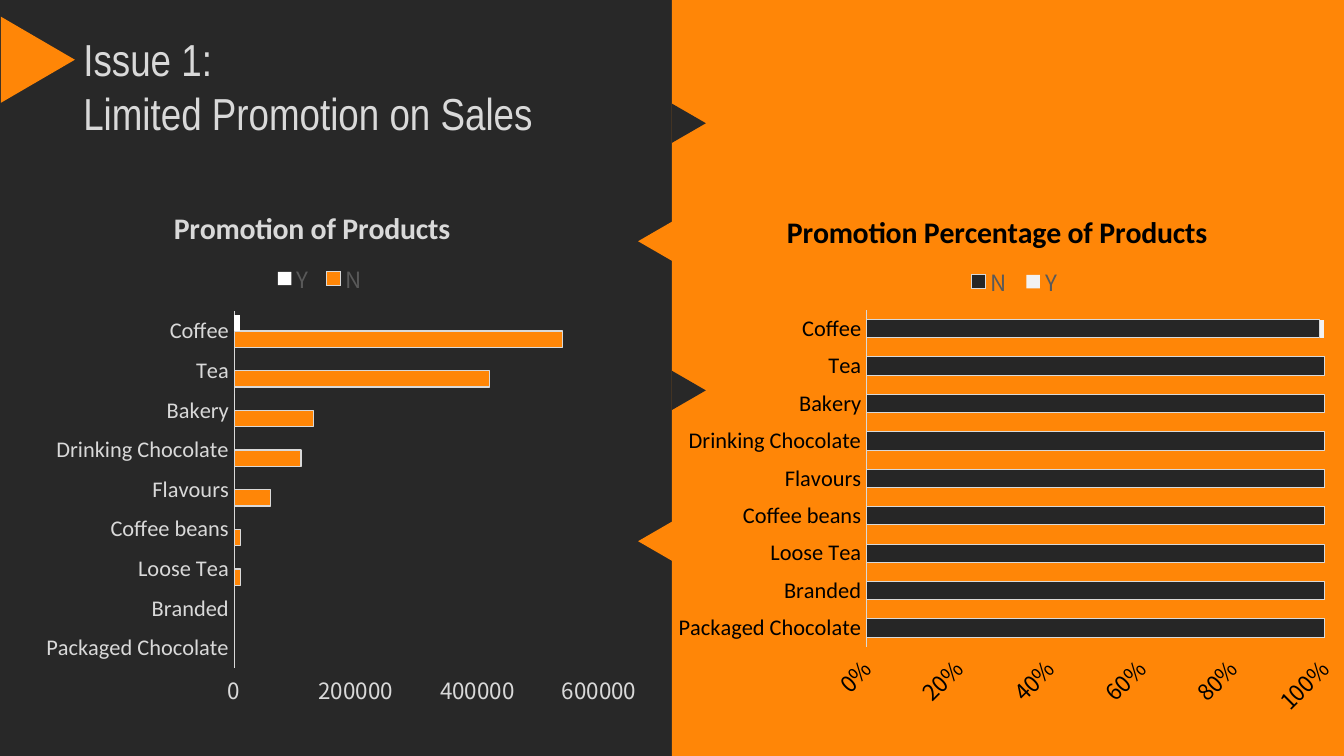
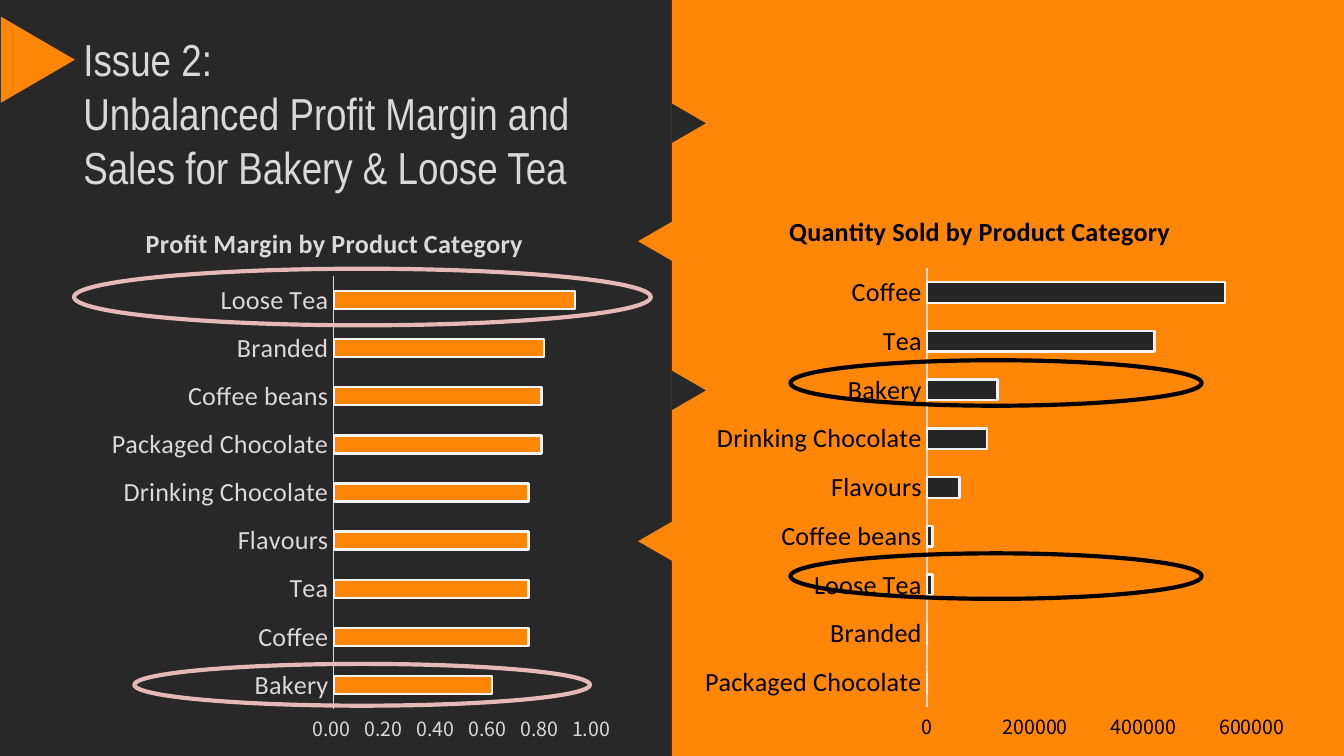
from dataclasses import dataclass

from lxml.etree import SubElement
from pptx import Presentation
from pptx.chart.data import CategoryChartData
from pptx.dml.color import RGBColor
from pptx.enum.chart import XL_CHART_TYPE, XL_LEGEND_POSITION, XL_TICK_MARK
from pptx.enum.shapes import MSO_SHAPE
from pptx.enum.text import MSO_ANCHOR, MSO_AUTO_SIZE, PP_ALIGN
from pptx.oxml.ns import qn
from pptx.util import Cm, Pt

DARK, ORANGE, BAR_DARK = "282828", "FF8607", "262626"
LIGHT, PALE, WHITE, BLACK = "D9D9D9", "F2F2F2", "FFFFFF", "000000"
LEGEND_GREY, PINK = "595959", "E6B9B8"
TITLE_FONT, LABEL_FONT, NUMBER_FONT = "Arial Narrow", "Calibri", "Noto Sans CJK SC"
SLIDE_W, SLIDE_H = 25.4, 14.29
HALF = SLIDE_W / 2

BY_QUANTITY = ["Packaged Chocolate", "Branded", "Loose Tea", "Coffee beans", "Flavours",
               "Drinking Chocolate", "Bakery", "Tea", "Coffee"]
BY_MARGIN = ["Bakery", "Coffee", "Tea", "Flavours", "Drinking Chocolate",
             "Packaged Chocolate", "Coffee beans", "Branded", "Loose Tea"]
NOT_PROMOTED = [0, 0, 10000, 10000, 60000, 110000, 130000, 420000, 540000]
QUANTITY_SOLD = NOT_PROMOTED[:-1] + [550000]
NO_PROMOTION = [None] * 6 + [0, None]


@dataclass
class Bars:
    name: str
    values: list
    fill: str
    outline: str = ""
    outline_pt: float = 0


@dataclass
class BarChart:
    """Placing fractions are relative to the chart's box."""
    title: str
    title_at: tuple
    plot_at: tuple
    categories: list
    series: list
    text: str
    gap: int
    step: float
    top: float
    title_pt: float = 16
    category_pt: float = 12
    value_pt: float = 12
    number_format: str = "General"
    legend_at: tuple = ()
    percent: bool = False


def color(hex_string):
    return RGBColor.from_string(hex_string)


def style_font(font, name, size, hex_string, bold=False):
    font.name, font.size, font.bold = name, Pt(size), bold
    font.color.rgb = color(hex_string)


def add_block(slide, kind, box, fill, rotation=0):
    block = slide.shapes.add_shape(kind, *map(Cm, box))
    block.shadow.inherit = False
    block.fill.solid()
    block.fill.fore_color.rgb = color(fill)
    block.line.fill.background()
    block.rotation = rotation
    return block


def add_highlight(slide, box, line):
    ring = slide.shapes.add_shape(MSO_SHAPE.OVAL, *map(Cm, box))
    ring.shadow.inherit = False
    ring.fill.background()
    ring.line.color.rgb = color(line)
    ring.line.width = Pt(2.25)


def add_title(slide, lines, height):
    title = slide.shapes.title
    title.left, title.top, title.width, title.height = map(Cm, (1.32, 0.48, 11.18, height))
    frame = title.text_frame
    frame.text = "\n".join(lines)
    frame.word_wrap = True
    frame.auto_size = MSO_AUTO_SIZE.NONE
    frame.vertical_anchor = MSO_ANCHOR.TOP
    for paragraph in frame.paragraphs:
        paragraph.alignment = PP_ALIGN.LEFT
        style_font(paragraph.font, TITLE_FONT, 24, LIGHT)
    return title


def add_split_slide(prs, lines, title_height):
    """Two-tone slide with a title on the dark half and notches along the seam."""
    slide = prs.slides.add_slide(prs.slide_layouts[5])
    title = add_title(slide, lines, title_height)
    dark_half = add_block(slide, MSO_SHAPE.RECTANGLE, (0, 0, HALF, SLIDE_H), DARK)
    title.element.addprevious(dark_half.element)
    triangle = MSO_SHAPE.ISOSCELES_TRIANGLE
    add_block(slide, triangle, (-0.1, 0.43, 1.63, 1.4), ORANGE, 90)
    add_block(slide, MSO_SHAPE.RECTANGLE, (HALF, 0, HALF, SLIDE_H), ORANGE)
    for left, fill, rotation, tops in ((HALF - 0.05, DARK, 90, (2.01, 7.06)),
                                       (HALF - 0.69, ORANGE, 270, (4.24, 9.91))):
        for top in tops:
            add_block(slide, triangle, (left, top, 0.74, 0.64), fill, rotation)
    return slide


def set_layout(part, fractions, after=None, inner=False):
    """Fix a chart part at x, y and, where given, width and height."""
    for old in part.findall(qn("c:layout")):
        part.remove(old)
    layout = SubElement(part, qn("c:layout"))
    if after:
        part.find(qn(after)).addnext(layout)
    else:
        part.insert(0, layout)
    manual = SubElement(layout, qn("c:manualLayout"))
    settings = [("layoutTarget", "inner")] if inner else []
    settings += [("xMode", "edge"), ("yMode", "edge")]
    settings += zip("xywh", map(str, fractions))
    for tag, value in settings:
        SubElement(manual, qn(f"c:{tag}")).set("val", value)


def style_axes(chart, design):
    categories, values = chart.category_axis, chart.value_axis
    for axis in (categories, values):
        axis.has_major_gridlines = False
        axis.major_tick_mark = axis.minor_tick_mark = XL_TICK_MARK.NONE
    categories.format.line.color.rgb = color(LIGHT)
    categories.format.line.width = Pt(0.75)
    style_font(categories.tick_labels.font, LABEL_FONT, design.category_pt, design.text)
    values.format.line.fill.background()
    values.minimum_scale, values.maximum_scale = 0, design.top
    values.major_unit = design.step
    labels = values.tick_labels
    style_font(labels.font, NUMBER_FONT, design.value_pt, design.text)
    labels.number_format = design.number_format
    labels.number_format_is_linked = False
    if design.percent:
        chart.element.xpath(".//c:valAx/c:txPr/a:bodyPr")[0].set("rot", "-2700000")


def add_bar_chart(slide, box, design):
    data = CategoryChartData()
    data.categories = design.categories
    for bars in design.series:
        data.add_series(bars.name, bars.values)
    kind = XL_CHART_TYPE.BAR_STACKED_100 if design.percent else XL_CHART_TYPE.BAR_CLUSTERED
    chart = slide.shapes.add_chart(kind, *map(Cm, box), data).chart
    style_font(chart.font, NUMBER_FONT, 10, BLACK)

    chart.has_title = True
    heading = chart.chart_title.text_frame
    heading.text = design.title
    style_font(heading.paragraphs[0].font, LABEL_FONT, design.title_pt, design.text, True)
    set_layout(chart.element.xpath("c:chart/c:title")[0], design.title_at, "c:tx")
    set_layout(chart.element.xpath("c:chart/c:plotArea")[0], design.plot_at, inner=True)

    chart.has_legend = bool(design.legend_at)
    if design.legend_at:
        legend = chart.legend
        legend.position = XL_LEGEND_POSITION.TOP
        legend.include_in_layout = False
        style_font(legend.font, NUMBER_FONT, 12, LEGEND_GREY)
        set_layout(chart.element.xpath("c:chart/c:legend")[0], design.legend_at,
                   "c:legendPos")

    plot = chart.plots[0]
    plot.gap_width = design.gap
    plot.vary_by_categories = False
    for series, bars in zip(plot.series, design.series):
        series.format.fill.solid()
        series.format.fill.fore_color.rgb = color(bars.fill)
        if bars.outline:
            series.format.line.color.rgb = color(bars.outline)
            series.format.line.width = Pt(bars.outline_pt)
        else:
            series.format.line.fill.background()
    style_axes(chart, design)


def add_promotion_slide(prs):
    slide = add_split_slide(prs, ["Issue 1:", "Limited Promotion on Sales"], 2.31)
    add_bar_chart(slide, (-0.18, 3.18, 12.45, 10.69), BarChart(
        "Promotion of Products", (0.27, 0.06), (0.37, 0.253, 0.554, 0.631), BY_QUANTITY,
        [Bars("N", NOT_PROMOTED, ORANGE, LIGHT, 0.75),
         Bars("Y", NO_PROMOTION + [10000], WHITE)],
        LIGHT, gap=42, step=200000, top=600000, legend_at=(0.42, 0.16, 0.16, 0.07)))
    add_bar_chart(slide, (12.57, 3.28, 12.95, 10.49), BarChart(
        "Promotion Percentage of Products", (0.17, 0.06), (0.294, 0.246, 0.668, 0.607),
        BY_QUANTITY,
        [Bars("N", [100] * 8 + [99], BAR_DARK, LIGHT, 0.5),
         Bars("Y", NO_PROMOTION + [1], PALE)],
        BLACK, gap=105, step=0.2, top=1, number_format="0%",
        legend_at=(0.43, 0.16, 0.16, 0.07), percent=True))


def add_margin_slide(prs):
    slide = add_split_slide(
        prs, ["Issue 2:", "Unbalanced Profit Margin and Sales for Bakery & Loose Tea"], 3.33)
    margins = [0.61, 0.75, 0.75, 0.75, 0.75, 0.8, 0.8, 0.81, 0.93]
    sizes = dict(title_pt=14, category_pt=14, value_pt=10.5)
    add_bar_chart(slide, (0.64, 3.63, 11.25, 10.72), BarChart(
        "Profit Margin by Product Category", (0.18, 0.05), (0.504, 0.148, 0.436, 0.764),
        BY_MARGIN, [Bars("Series 1", margins, ORANGE, PALE, 1.25)],
        LIGHT, gap=167, step=0.2, top=1, number_format=r"0.00_);[Red]\(0.00\)", **sizes))
    add_highlight(slide, (1.4, 5.08, 10.9, 1.07), PINK)
    add_highlight(slide, (2.54, 12.55, 8.61, 0.79), PINK)
    add_bar_chart(slide, (13.11, 3.63, 11.43, 10.57), BarChart(
        "Quantity Sold by Product Category", (0.15, 0.03), (0.386, 0.136, 0.537, 0.785),
        BY_QUANTITY, [Bars("Series 1", QUANTITY_SOLD, BAR_DARK, PALE, 1.25)],
        BLACK, gap=137, step=200000, top=600000, **sizes))
    for top in (6.81, 10.46):
        add_highlight(slide, (14.94, top, 7.77, 0.86), BLACK)


def main():
    prs = Presentation()
    prs.slide_width, prs.slide_height = Cm(SLIDE_W), Cm(SLIDE_H)
    add_promotion_slide(prs)
    add_margin_slide(prs)
    prs.save("out.pptx")


if __name__ == "__main__":
    main()
